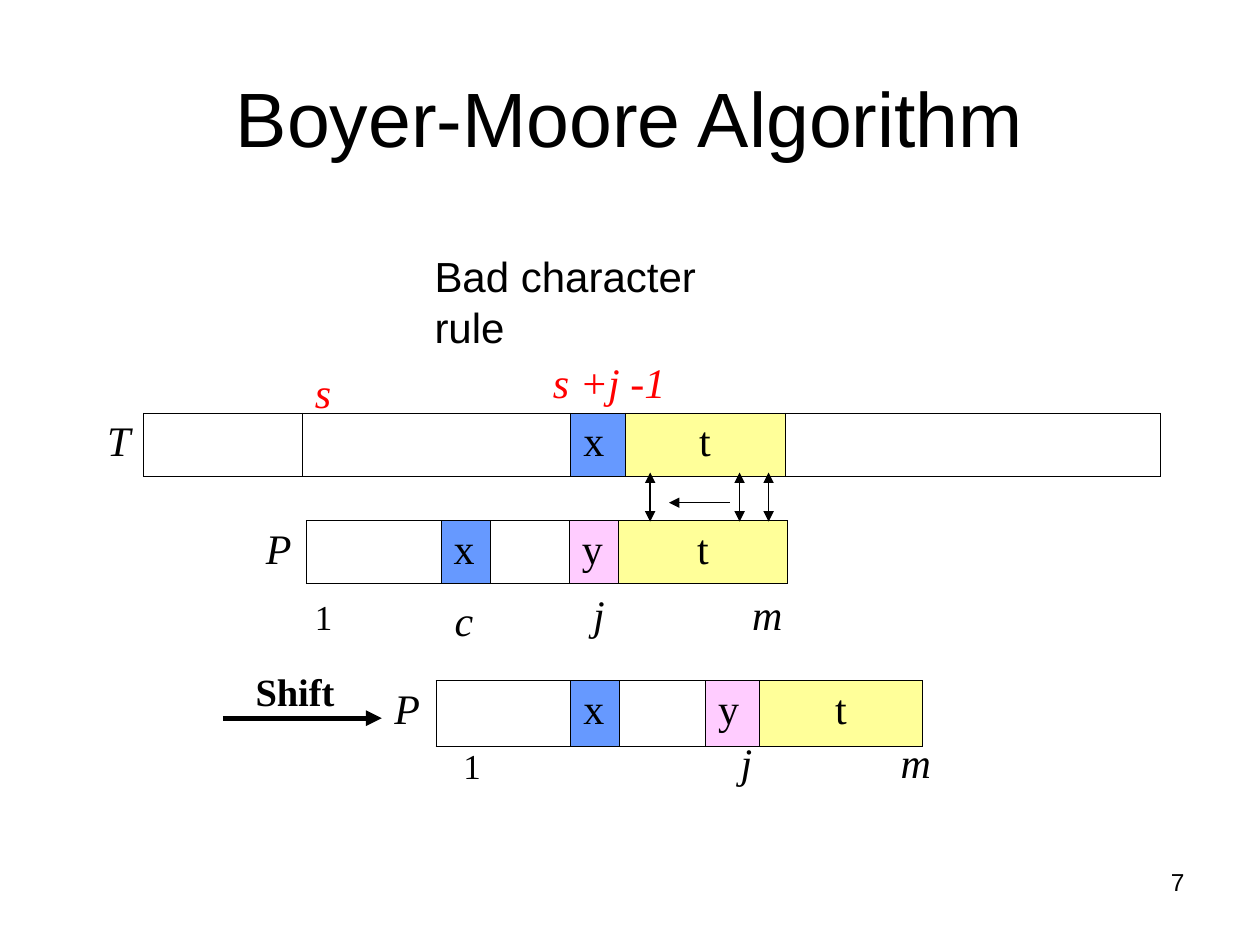
from dataclasses import dataclass

from lxml.etree import SubElement
from pptx import Presentation
from pptx.dml.color import RGBColor
from pptx.enum.shapes import MSO_CONNECTOR
from pptx.enum.text import MSO_ANCHOR, PP_ALIGN
from pptx.oxml.ns import qn
from pptx.util import Inches, Pt


@dataclass(frozen=True)
class Theme:
    """Colours, fonts and type sizes of the slide."""
    black: str = "000000"
    red: str = "FF0000"
    blue: str = "6699FF"
    pink: str = "FFCCFF"
    yellow: str = "FFFF99"
    sans: str = "Arial"
    serif: str = "Times New Roman"
    title: float = 44
    body: float = 24
    shift: float = 22
    index: float = 20
    number: float = 14
    border: float = 0.45
    thin: float = 0.75
    thick: float = 3


THEME = Theme()
CELL_FILLS = {"x": THEME.blue, "y": THEME.pink, "t": THEME.yellow}
PLAIN_TABLE_STYLE = "{2D5ABB26-0587-4C30-8999-92F81FD0307C}"


def write(text_frame, text, size=THEME.body, font=THEME.serif, color=THEME.black,
          italic=False, bold=False, align=PP_ALIGN.LEFT):
    """Put one formatted line of text into a text frame."""
    text_frame.text = text
    paragraph = text_frame.paragraphs[0]
    paragraph.alignment = align
    for run in paragraph.runs:
        run.font.size = Pt(size)
        run.font.name = font
        run.font.italic = italic
        run.font.bold = bold
        run.font.color.rgb = RGBColor.from_string(color)


def add_label(slide, text, left, top, width=0.39, height=0.5, wrap=True,
              anchor=MSO_ANCHOR.TOP, **style):
    """Add a text box holding one line."""
    text_frame = slide.shapes.add_textbox(
        Inches(left), Inches(top), Inches(width), Inches(height)).text_frame
    text_frame.word_wrap = wrap
    text_frame.vertical_anchor = anchor
    write(text_frame, text, **style)


def add_borders(cell, sides):
    """Draw thin black borders on the given sides of a cell."""
    properties = cell._tc.get_or_add_tcPr()
    for side in sides:
        line = SubElement(properties, qn(f"a:ln{side}"), w=str(Pt(THEME.border)))
        fill = SubElement(line, qn("a:solidFill"))
        SubElement(fill, qn("a:srgbClr"), val=THEME.black)


def add_string_row(slide, left, top, height, segments):
    """Add a one-row table: a name followed by the segments of its string."""
    widths = [width for _, width in segments]
    frame = slide.shapes.add_table(
        1, len(segments), Inches(left), Inches(top), Inches(sum(widths)), Inches(height))
    table = frame.table
    table.first_row = False
    table.horz_banding = False
    table._tbl.tblPr.find(qn("a:tableStyleId")).text = PLAIN_TABLE_STYLE
    for column, (text, width) in enumerate(segments):
        table.columns[column].width = Inches(width)
        cell = table.cell(0, column)
        is_name = column == 0
        add_borders(cell, "R" if is_name else "LRTB")
        if text in CELL_FILLS:
            cell.fill.solid()
            cell.fill.fore_color.rgb = RGBColor.from_string(CELL_FILLS[text])
        else:
            cell.fill.background()
        if text:
            align = PP_ALIGN.CENTER if text == "t" else PP_ALIGN.LEFT
            write(cell.text_frame, text, italic=is_name, align=align)


def add_arrow(slide, start, end, width=THEME.thin, double=False):
    """Add a black arrow pointing at its end, or at both ends."""
    connector = slide.shapes.add_connector(
        MSO_CONNECTOR.STRAIGHT, *map(Inches, start + end))
    connector.line.width = Pt(width)
    connector.line.color.rgb = RGBColor.from_string(THEME.black)
    line = connector.line._get_or_add_ln()
    if double:
        SubElement(line, qn("a:headEnd"), type="triangle")
    SubElement(line, qn("a:tailEnd"), type="triangle")
    SubElement(connector._element.spPr, qn("a:effectLst"))


def add_strings(slide):
    """Add the text T and the pattern P before and after the shift."""
    add_string_row(slide, 0.75, 3.28, 0.5, [
        ("T", 0.39), ("", 1.26), ("", 2.13), ("x", 0.43), ("t", 1.27), ("", 2.98)])
    add_string_row(slide, 2.01, 4.13, 0.5, [
        ("P", 0.42), ("", 1.07), ("x", 0.39), ("", 0.63), ("y", 0.39), ("t", 1.34)])
    add_string_row(slide, 3.03, 5.4, 0.52, [
        ("P", 0.43), ("", 1.07), ("x", 0.39), ("", 0.68), ("y", 0.43), ("t", 1.29)])


def add_positions(slide):
    """Add the position labels above T and below each P."""
    add_label(slide, "s", 2.4, 2.86, color=THEME.red, italic=True)
    add_label(slide, "s +j -1", 4.29, 2.78, 2.05, color=THEME.red, italic=True)
    for text, left, top in [("c", 3.51, 4.67), ("j", 4.61, 4.62), ("m", 5.87, 4.62),
                            ("j", 5.78, 5.8), ("m", 7.05, 5.8)]:
        add_label(slide, text, left, top, italic=True)
    for left, top in [(2.4, 4.68), (3.58, 5.86)]:
        add_label(slide, "1", left, top, height=0.44, size=THEME.index)


def add_arrows(slide):
    """Add the comparison arrows, their direction and the shift arrow."""
    for x in (5.16, 5.87, 6.1):
        add_arrow(slide, (x, 3.75), (x, 4.14), double=True)
    add_arrow(slide, (5.79, 3.99), (5.31, 3.99))
    add_arrow(slide, (1.77, 5.7), (3.03, 5.7), width=THEME.thick)
    add_label(slide, "Shift", 1.93, 5.25, 0.94, 0.47, size=THEME.shift, bold=True)


def main():
    """Build the slide and save it."""
    presentation = Presentation()
    presentation.slide_width = Inches(10)
    presentation.slide_height = Inches(7.5)
    slide = presentation.slides.add_slide(presentation.slide_layouts[6])
    add_label(slide, "Boyer-Moore Algorithm", 0.5, 0.3, 9, 1.25, anchor=MSO_ANCHOR.MIDDLE,
              size=THEME.title, font=THEME.sans, align=PP_ALIGN.CENTER)
    add_label(slide, "Bad character rule", 3.35, 1.94, 2.92, wrap=False, font=THEME.sans)
    add_strings(slide)
    add_positions(slide)
    add_arrows(slide)
    add_label(slide, "7", 7.17, 6.83, 2.33, 0.52,
              size=THEME.number, font=THEME.sans, align=PP_ALIGN.RIGHT)
    presentation.save("out.pptx")


if __name__ == "__main__":
    main()
